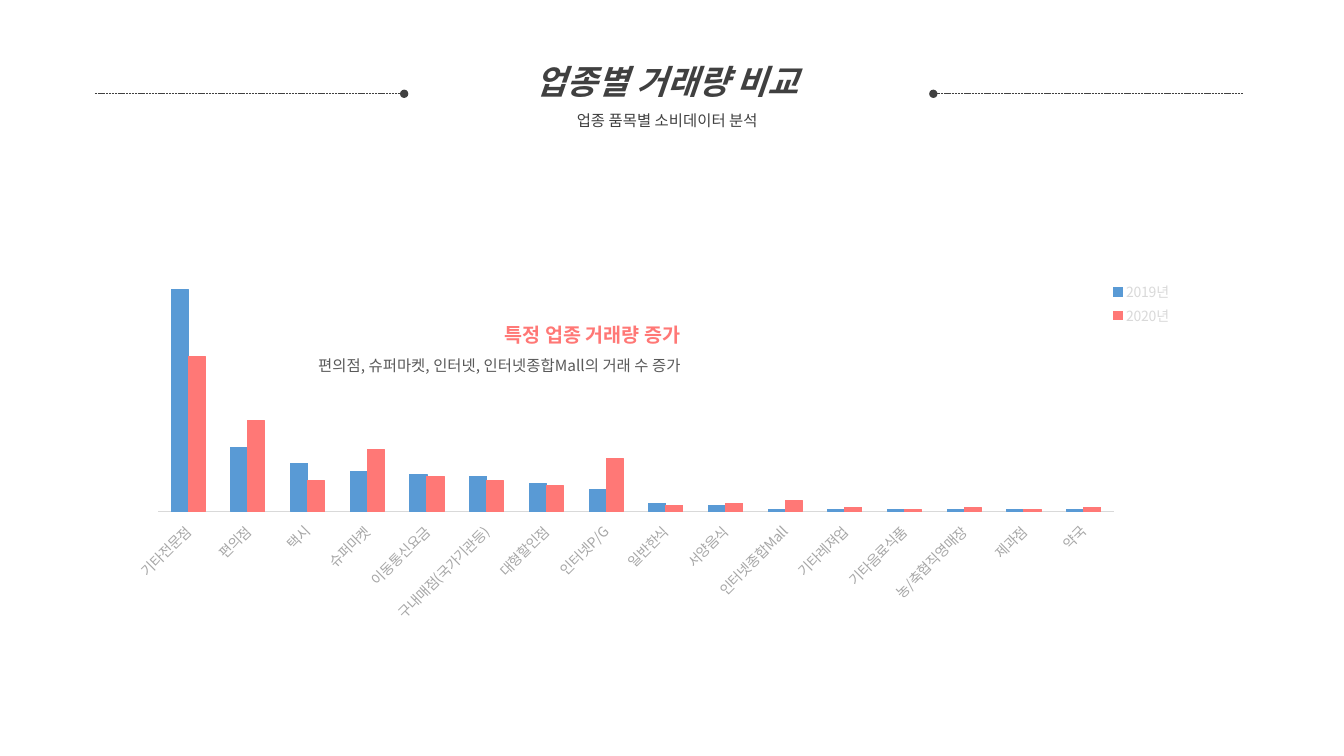
from dataclasses import dataclass

from lxml.etree import SubElement
from pptx import Presentation
from pptx.chart.data import CategoryChartData
from pptx.dml.color import RGBColor
from pptx.enum.chart import XL_CHART_TYPE as ChartType
from pptx.enum.chart import XL_LEGEND_POSITION as LegendPosition
from pptx.enum.chart import XL_TICK_LABEL_POSITION as LabelPosition
from pptx.enum.chart import XL_TICK_MARK as TickMark
from pptx.enum.dml import MSO_LINE_DASH_STYLE as Dash
from pptx.enum.shapes import MSO_CONNECTOR as Connector
from pptx.enum.text import MSO_AUTO_SIZE as AutoSize
from pptx.enum.text import PP_ALIGN as Align
from pptx.oxml import parse_xml
from pptx.oxml.ns import nsdecls, qn
from pptx.util import Pt


@dataclass(frozen=True)
class Theme:
    font: str = "Noto Sans CJK KR"
    dark: str = "404040"
    body: str = "595959"
    label: str = "A6A6A6"
    pale: str = "D9D9D9"
    blue: str = "599AD5"
    coral: str = "FF7876"
    title_size: int = 24
    callout_size: int = 14
    body_size: int = 11
    chart_size: int = 10


THEME = Theme()

TEXT_BOXES = [
    {"box": (192.2, 218.9, 301, 51.1), "align": Align.RIGHT, "lines": [
        ("특정 업종 거래량 증가", THEME.callout_size, THEME.coral, True, False),
        ("편의점, 슈퍼마켓, 인터넷, 인터넷종합Mall의 거래 수 증가",
         THEME.body_size, THEME.body, False, False)]},
    {"box": (290.9, 25.9, 371.5, 69.1), "align": Align.CENTER, "lines": [
        ("업종별 거래량 비교", THEME.title_size, THEME.dark, True, True),
        ("업종 품목별 소비데이터 분석", THEME.body_size, THEME.dark, False, False)]},
]

RULE_TOP = 67
RULES = [(67.7, 288.7), (887.8, 666.7)]

TRANSACTIONS = [
    ("기타전문점", 100, 70), ("편의점", 29, 41), ("택시", 22, 14),
    ("슈퍼마켓", 18, 28), ("이동통신요금", 17, 16),
    ("구내매점(국가기관등)", 16, 14), ("대형할인점", 13, 12),
    ("인터넷P/G", 10, 24), ("일반한식", 4, 3), ("서양음식", 3, 4),
    ("인터넷종합Mall", 1, 5), ("기타레져업", 1, 2), ("기타음료식품", 1, 1),
    ("농/축협직영매장", 1, 2), ("제과점", 1, 1), ("약국", 1, 2),
]
YEARS = [("2019년", THEME.blue), ("2020년", THEME.coral)]
CHART_BOX = (57.6, 187.9, 793.4, 277.9)
PLOT_LAYOUT = (0.07, 0.04, 0.86, 0.6)
LEGEND_LAYOUT = (0.92, 0.04, 0.07, 0.13)
AXIS_MAXIMUM = 105
LABEL_ROTATION = -45


def style_font(font, size, color, bold=False, italic=False):
    font.name = THEME.font
    font.size = Pt(size)
    font.bold = bold
    font.italic = italic
    font.color.rgb = RGBColor.from_string(color)


def set_east_asian(properties):
    SubElement(properties, qn("a:ea")).set("typeface", THEME.font)


def add_text(slide, box, align, lines):
    shape = slide.shapes.add_textbox(*map(Pt, box))
    frame = shape.text_frame
    frame.word_wrap = True
    frame.auto_size = AutoSize.SHAPE_TO_FIT_TEXT
    for index, (text, *style) in enumerate(lines):
        paragraph = frame.add_paragraph() if index else frame.paragraphs[0]
        paragraph.alignment = align
        paragraph.line_spacing = 1.5
        run = paragraph.add_run()
        run.text = text
        style_font(run.font, *style)
        set_east_asian(run._r.get_or_add_rPr())


def add_rule(slide, start, end):
    rule = slide.shapes.add_connector(
        Connector.STRAIGHT, Pt(start), Pt(RULE_TOP), Pt(end), Pt(RULE_TOP))
    rule.line.width = Pt(0.5)
    rule.line.color.rgb = RGBColor.from_string(THEME.dark)
    rule.line.dash_style = Dash.SQUARE_DOT
    outline = rule.line._get_or_add_ln()
    outline.find(qn("a:prstDash")).set("val", "sysDash")
    SubElement(outline, qn("a:tailEnd")).set("type", "oval")
    SubElement(rule._element.spPr, qn("a:effectLst"))


def place(element, index, layout, inner=False):
    for existing in element.findall(qn("c:layout")):
        element.remove(existing)
    target = '<c:layoutTarget val="inner"/>' if inner else ""
    modes = "".join(f'<c:{side}Mode val="edge"/>' for side in "xy")
    sizes = "".join(f'<c:{side} val="{value}"/>' for side, value in zip("xywh", layout))
    element.insert(index, parse_xml(
        f'<c:layout {nsdecls("c")}><c:manualLayout>{target}{modes}{sizes}'
        "</c:manualLayout></c:layout>"))


def add_transactions_chart(slide):
    categories, *columns = zip(*TRANSACTIONS)
    data = CategoryChartData()
    data.categories = categories
    for (year, _), values in zip(YEARS, columns):
        data.add_series(year, values)
    chart = slide.shapes.add_chart(
        ChartType.COLUMN_CLUSTERED, *map(Pt, CHART_BOX), data).chart
    chart.has_title = False
    style_font(chart.font, THEME.chart_size, THEME.pale)

    plot = chart.plots[0]
    plot.gap_width = 150
    plot.overlap = 0
    plot.vary_by_categories = False
    for series, (_, color) in zip(plot.series, YEARS):
        fill, line = series.format.fill, series.format.line
        fill.solid()
        fill.fore_color.rgb = RGBColor.from_string(color)
        line.color.rgb = RGBColor.from_string(color)
        line.width = Pt(0.75)

    value_axis = chart.value_axis
    value_axis.minimum_scale = 0
    value_axis.maximum_scale = AXIS_MAXIMUM
    value_axis.has_major_gridlines = False
    value_axis.visible = False

    category_axis = chart.category_axis
    category_axis.major_tick_mark = TickMark.NONE
    category_axis.minor_tick_mark = TickMark.NONE
    category_axis.tick_label_position = LabelPosition.LOW
    category_axis.format.line.color.rgb = RGBColor.from_string(THEME.pale)
    category_axis.format.line.width = Pt(0.75)
    style_font(category_axis.tick_labels.font, THEME.chart_size, THEME.label)
    label_body = category_axis._element.find(qn("c:txPr")).find(qn("a:bodyPr"))
    label_body.set("rot", str(LABEL_ROTATION * 60000))
    label_body.set("vert", "horz")

    chart.has_legend = True
    legend = chart.legend
    legend.position = LegendPosition.RIGHT
    legend.include_in_layout = False
    style_font(legend.font, THEME.chart_size, THEME.pale)

    chart_space = chart._chartSpace
    place(next(chart_space.iter(qn("c:plotArea"))), 0, PLOT_LAYOUT, inner=True)
    place(legend._element, 1, LEGEND_LAYOUT)
    for properties in chart_space.iter(qn("a:defRPr")):
        set_east_asian(properties)


def main():
    presentation = Presentation()
    presentation.slide_width = Pt(960)
    presentation.slide_height = Pt(540)
    slide = presentation.slides.add_slide(presentation.slide_layouts[6])
    for start, end in RULES:
        add_rule(slide, start, end)
    add_transactions_chart(slide)
    for text_box in TEXT_BOXES:
        add_text(slide, **text_box)
    presentation.save("out.pptx")


if __name__ == "__main__":
    main()
